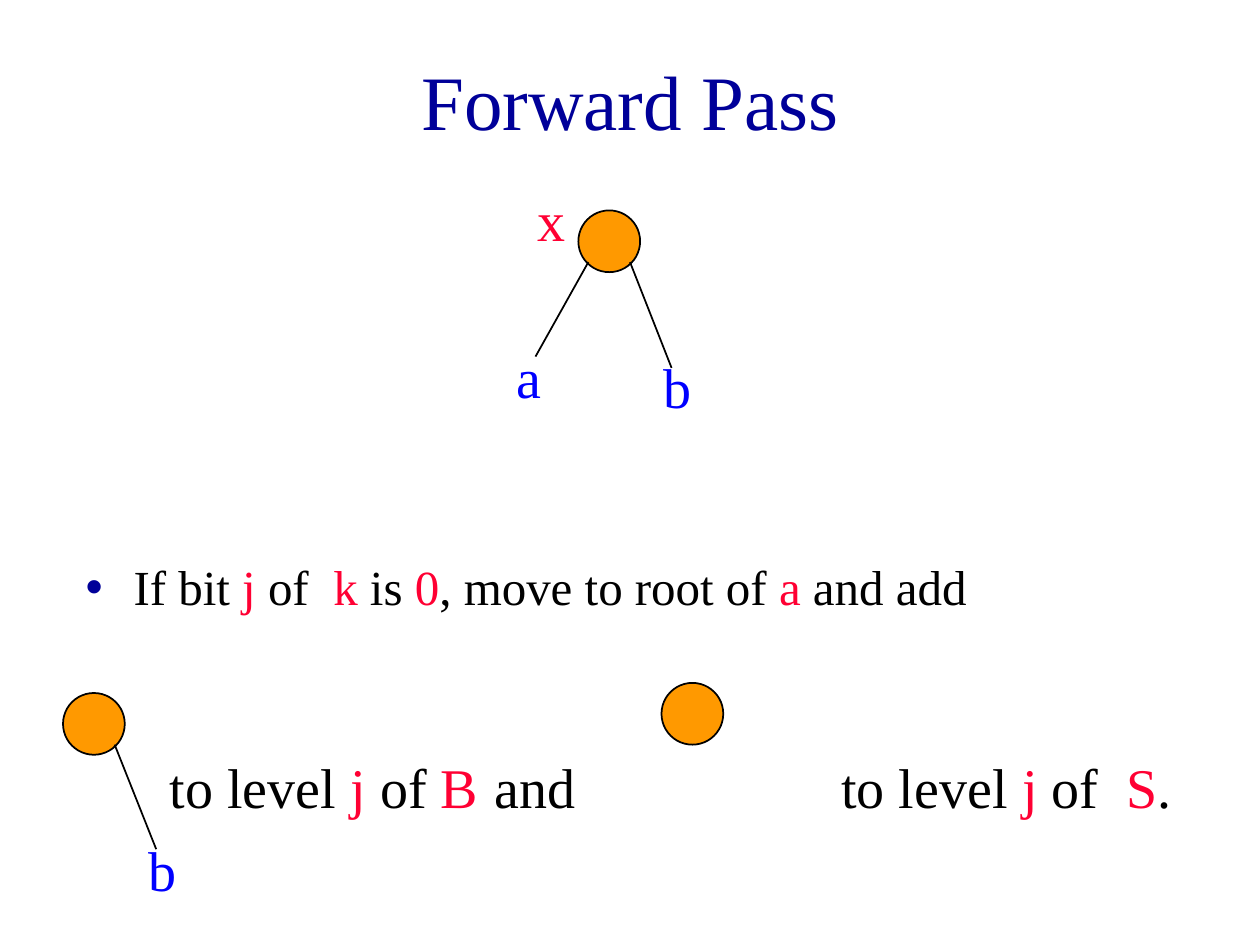
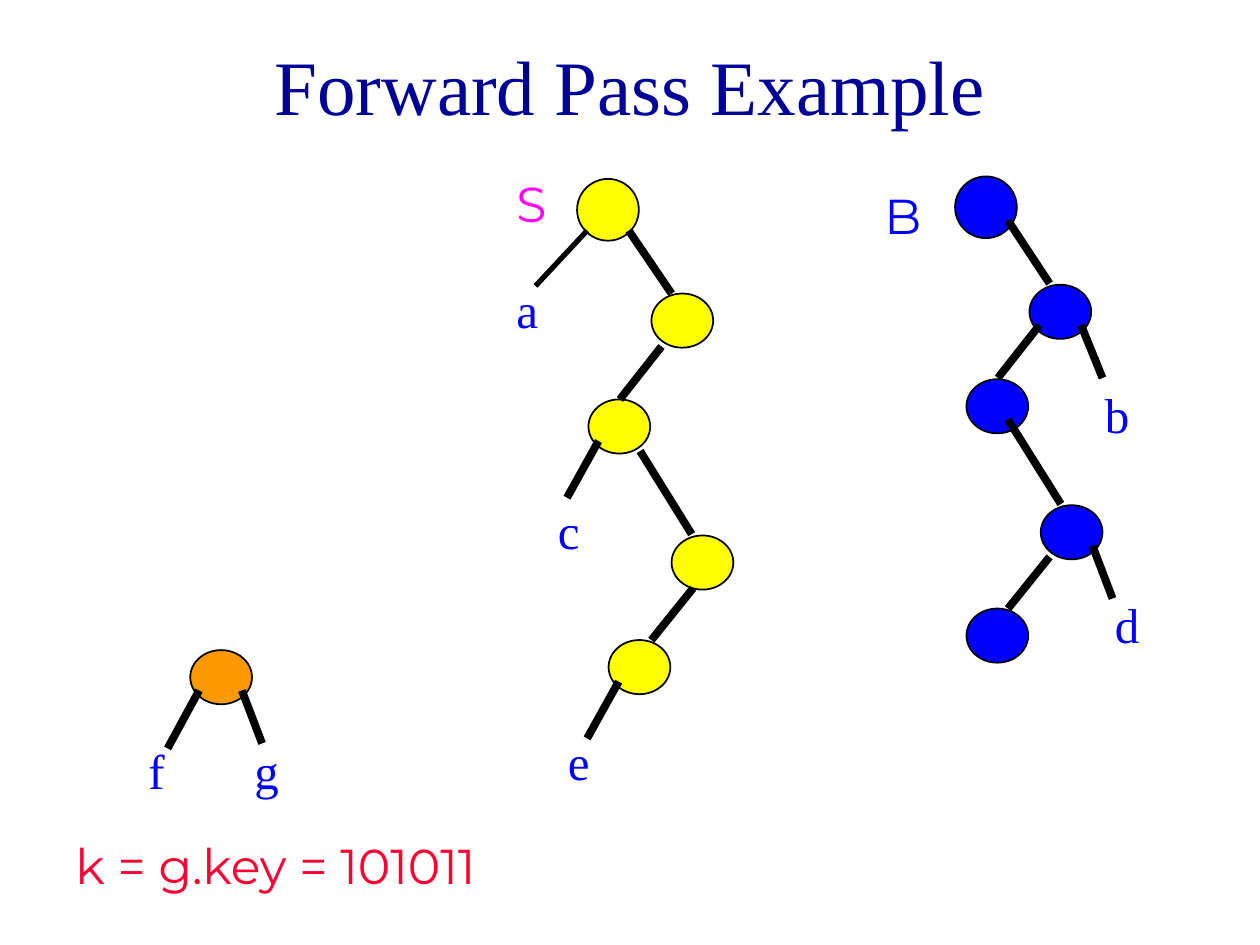
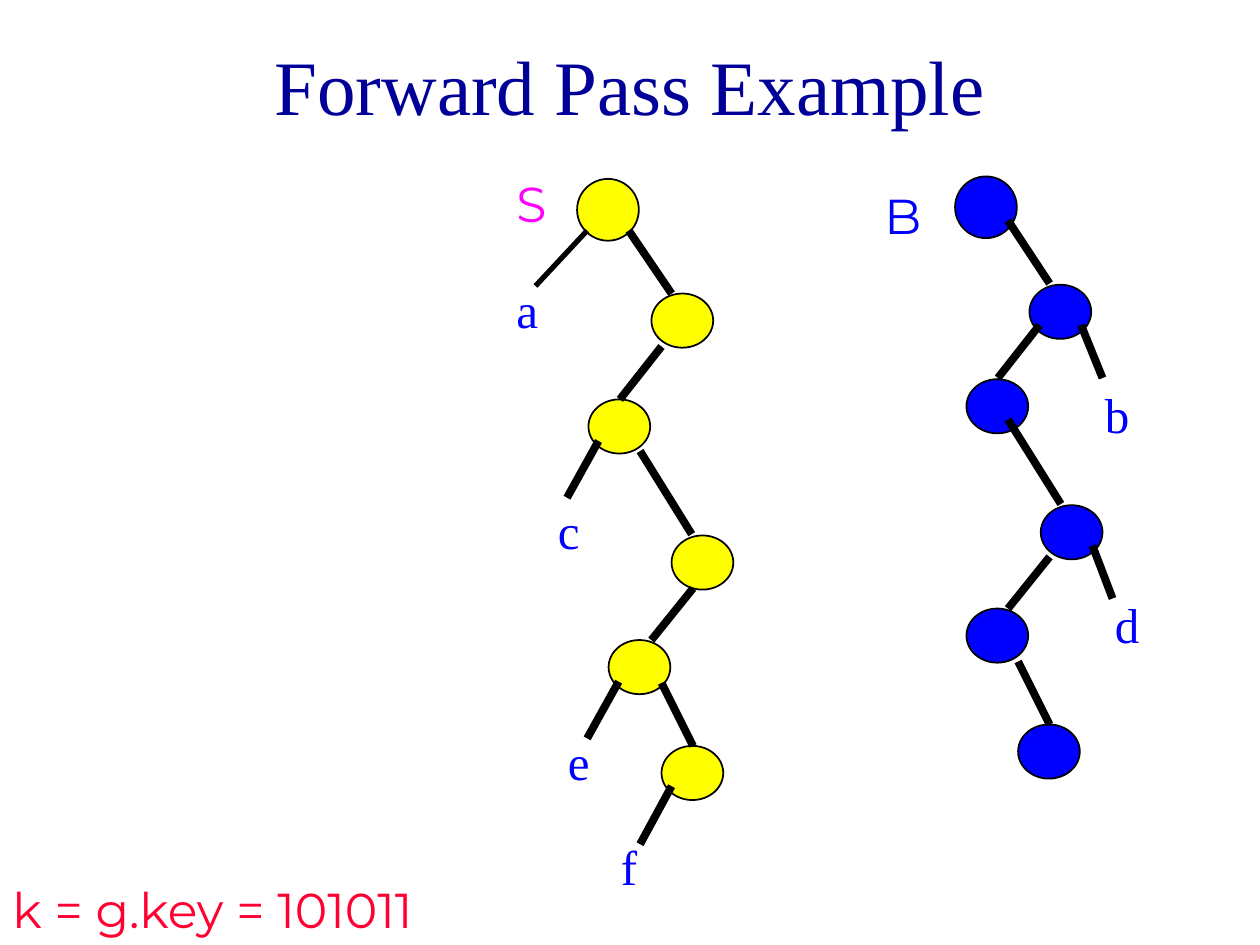
from lxml.etree import SubElement
from pptx import Presentation
from pptx.dml.color import RGBColor
from pptx.enum.shapes import MSO_CONNECTOR, MSO_SHAPE
from pptx.enum.text import MSO_ANCHOR, MSO_AUTO_SIZE, PP_ALIGN
from pptx.oxml.ns import qn
from pptx.util import Inches, Pt

NAVY = RGBColor(0x00, 0x00, 0x99)
BLACK = RGBColor(0x00, 0x00, 0x00)
WHITE = RGBColor(0xFF, 0xFF, 0xFF)
RED = RGBColor(0xFF, 0x00, 0x33)
BLUE = RGBColor(0x00, 0x00, 0xFF)
ORANGE = RGBColor(0xFF, 0x99, 0x00)
YELLOW = RGBColor(0xFF, 0xFF, 0x00)
MAGENTA = RGBColor(0xFF, 0x00, 0xFF)

SERIF = "Times New Roman"
SANS = "Montserrat"
TITLE_AND_BODY, TITLE_ONLY = 1, 5
NODE_WIDTH, NODE_HEIGHT = 0.49, 0.43
THIN, MEDIUM, THICK = 1, 3, 4.5

FRAME_FORMAT = {
    "word_wrap": True,
    "vertical_anchor": MSO_ANCHOR.TOP,
    "margin_left": Inches(0.1),
    "margin_right": Inches(0.1),
    "margin_top": Inches(0.05),
    "margin_bottom": Inches(0.05),
}

S_NODES = [(5.17, 2.33), (4.67, 3.17), (5.33, 4.25), (4.83, 5.08)]
S_EDGES = [
    (4.99, 1.83, 5.33, 2.33), (5.25, 2.75, 4.92, 3.17), (4.75, 3.5, 4.5, 3.95),
    (5.08, 3.58, 5.49, 4.24), (5.5, 4.67, 5.17, 5.08), (4.91, 5.41, 4.66, 5.86),
]
S_LABELS = [("a", 4, 2.17), ("c", 4.33, 3.92), ("e", 4.41, 5.76)]

B_NODES = [(8.17, 2.26), (7.67, 3.01), (8.26, 4.01), (7.67, 4.83)]
B_EDGES = [
    (8, 1.75, 8.33, 2.25), (8.25, 2.58, 7.92, 3), (8.58, 2.58, 8.75, 3),
    (8, 3.33, 8.42, 4), (8.67, 4.33, 8.83, 4.75), (8.33, 4.42, 8, 4.83),
]
B_LABELS = [("b", 8.67, 3), ("d", 8.75, 4.67)]


def apply(target, values):
    for name, value in values.items():
        setattr(target, name, value)


class SlideBuilder:
    def __init__(self):
        self.deck = Presentation()
        self.deck.slide_width = Inches(10)
        self.deck.slide_height = Inches(7.5)
        self.page = None

    def start(self, title, title_height, layout=TITLE_ONLY):
        self.page = self.deck.slides.add_slide(self.deck.slide_layouts[layout])
        box = self.page.shapes.title
        self.place(box, 0.75, 0.17, 8.5, title_height)
        self.fill_text(box, [(title, NAVY)], 44)
        box.text_frame.vertical_anchor = MSO_ANCHOR.MIDDLE
        box.text_frame.paragraphs[0].alignment = PP_ALIGN.CENTER

    def place(self, box, left, top, width, height):
        apply(box, {"left": Inches(left), "top": Inches(top),
                    "width": Inches(width), "height": Inches(height)})

    def fill_text(self, box, spans, size, font=SERIF, fit=MSO_AUTO_SIZE.NONE):
        apply(box.text_frame, {**FRAME_FORMAT, "auto_size": fit})
        para = box.text_frame.paragraphs[0]
        para.alignment = PP_ALIGN.LEFT
        para.space_before = Pt(0)
        for text, color in spans:
            span = para.add_run()
            span.text = text
            apply(span.font, {"name": font, "size": Pt(size)})
            span.font.color.rgb = color

    def bullet(self, spans, left, top, width, height):
        box = self.page.placeholders[1]
        self.place(box, left, top, width, height)
        para = box.text_frame.paragraphs[0]
        properties = para._p.get_or_add_pPr()
        properties.set("marL", str(Inches(0.38)))
        properties.set("indent", str(-Inches(0.38)))
        color = SubElement(properties, qn("a:buClr"))
        SubElement(color, qn("a:srgbClr")).set("val", str(NAVY))
        SubElement(properties, qn("a:buChar")).set("char", "•")
        self.fill_text(box, spans, 28)
        para.line_spacing = 0.9

    def text(self, spans, left, top, width, size=32, font=SERIF):
        height = 0.64 if size == 32 else 0.57
        box = self.page.shapes.add_textbox(
            Inches(left), Inches(top), Inches(width), Inches(height))
        self.fill_text(box, spans, size, font, MSO_AUTO_SIZE.SHAPE_TO_FIT_TEXT)

    def label(self, letter, left, top, size=28):
        self.text([(letter, BLUE)], left, top, 0.5, size)

    def node(self, left, top, color, height=NODE_HEIGHT):
        shape = self.page.shapes.add_shape(
            MSO_SHAPE.OVAL, Inches(left), Inches(top), Inches(NODE_WIDTH), Inches(height))
        shape.shadow.inherit = False
        shape.fill.solid()
        shape.fill.fore_color.rgb = color
        shape.line.color.rgb = BLACK
        shape.line.width = Pt(THIN)

    def root(self, left, top, color):
        self.node(left, top, color, NODE_WIDTH)

    def edge(self, x1, y1, x2, y2, weight=THICK):
        line = self.page.shapes.add_connector(
            MSO_CONNECTOR.STRAIGHT, Inches(x1), Inches(y1), Inches(x2), Inches(y2))
        line.line.color.rgb = BLACK
        line.line.width = Pt(weight)
        SubElement(line._element.spPr, qn("a:effectLst"))

    def tree(self, color, nodes, edges, labels):
        for left, top in nodes:
            self.node(left, top, color)
        for ends in edges:
            self.edge(*ends)
        for letter, left, top in labels:
            self.label(letter, left, top)

    def key(self, left, top):
        box = self.page.shapes.add_shape(
            MSO_SHAPE.RECTANGLE, Inches(left), Inches(top), Inches(5.42), Inches(0.57))
        box.shadow.inherit = False
        box.fill.solid()
        box.fill.fore_color.rgb = WHITE
        box.line.fill.background()
        self.fill_text(box, [("k = g.key = 101011", RED)], 28, SANS,
                       MSO_AUTO_SIZE.SHAPE_TO_FIT_TEXT)

    def example(self, key_left, key_top):
        self.start("Forward Pass Example", 1)
        self.key(key_left, key_top)
        self.root(4.58, 1.42, YELLOW)
        self.edge(4.66, 1.83, 4.25, 2.27, MEDIUM)
        self.text([("S", MAGENTA)], 4, 1.33, 0.58, 28, SANS)
        self.tree(YELLOW, S_NODES, S_EDGES, S_LABELS)
        self.root(7.58, 1.4, BLUE)
        self.text([("B", BLUE)], 6.92, 1.42, 0.58, 28, SANS)
        self.tree(BLUE, B_NODES, B_EDGES, B_LABELS)


def build_rule(builder):
    builder.start("Forward Pass", 1.25, TITLE_AND_BODY)
    builder.bullet([
        ("If bit ", BLACK), ("j", RED), (" of ", BLACK), (" k", RED), (" is ", BLACK),
        ("0", RED), (", move to root of ", BLACK), ("a", RED), (" and add", BLACK),
    ], 0.58, 4.42, 8.5, 0.58)

    builder.root(4.59, 1.67, ORANGE)
    builder.edge(4.67, 2.08, 4.25, 2.83, THIN)
    builder.edge(5, 2.08, 5.33, 2.92, THIN)
    builder.text([("x", RED)], 4.17, 1.42, 0.92)
    builder.label("a", 4, 2.67, 32)
    builder.label("b", 5.17, 2.75, 32)

    builder.root(0.5, 5.5, ORANGE)
    builder.edge(0.91, 5.91, 1.24, 6.74, THIN)
    builder.label("b", 1.08, 6.58, 32)
    builder.root(5.25, 5.42, ORANGE)

    level = [("to level ", BLACK), ("j", RED)]
    builder.text(level + [(" of ", BLACK), ("B", RED)], 1.25, 5.92, 2.75)
    builder.text([("and", BLACK)], 3.83, 5.92, 1.08)
    builder.text(level + [(" of  ", BLACK), ("S", RED), (".", BLACK)], 6.58, 5.92, 3.25)


def build_before(builder):
    builder.example(0.5, 6.58)
    builder.tree(ORANGE, [(1.51, 5.16)],
                 [(1.58, 5.48, 1.33, 5.94), (1.92, 5.48, 2.08, 5.9)],
                 [("f", 1.08, 5.83), ("g", 1.92, 5.83)])


def build_after(builder):
    builder.example(0, 6.93)
    builder.tree(YELLOW, [(5.25, 5.92)],
                 [(5.25, 5.42, 5.5, 5.92), (5.33, 6.24, 5.08, 6.7)],
                 [("f", 4.83, 6.59)])
    builder.tree(BLUE, [(8.08, 5.75)], [(8.08, 5.25, 8.33, 5.75)], [])


def main():
    builder = SlideBuilder()
    build_rule(builder)
    build_before(builder)
    build_after(builder)
    builder.deck.save("out.pptx")


if __name__ == "__main__":
    main()
